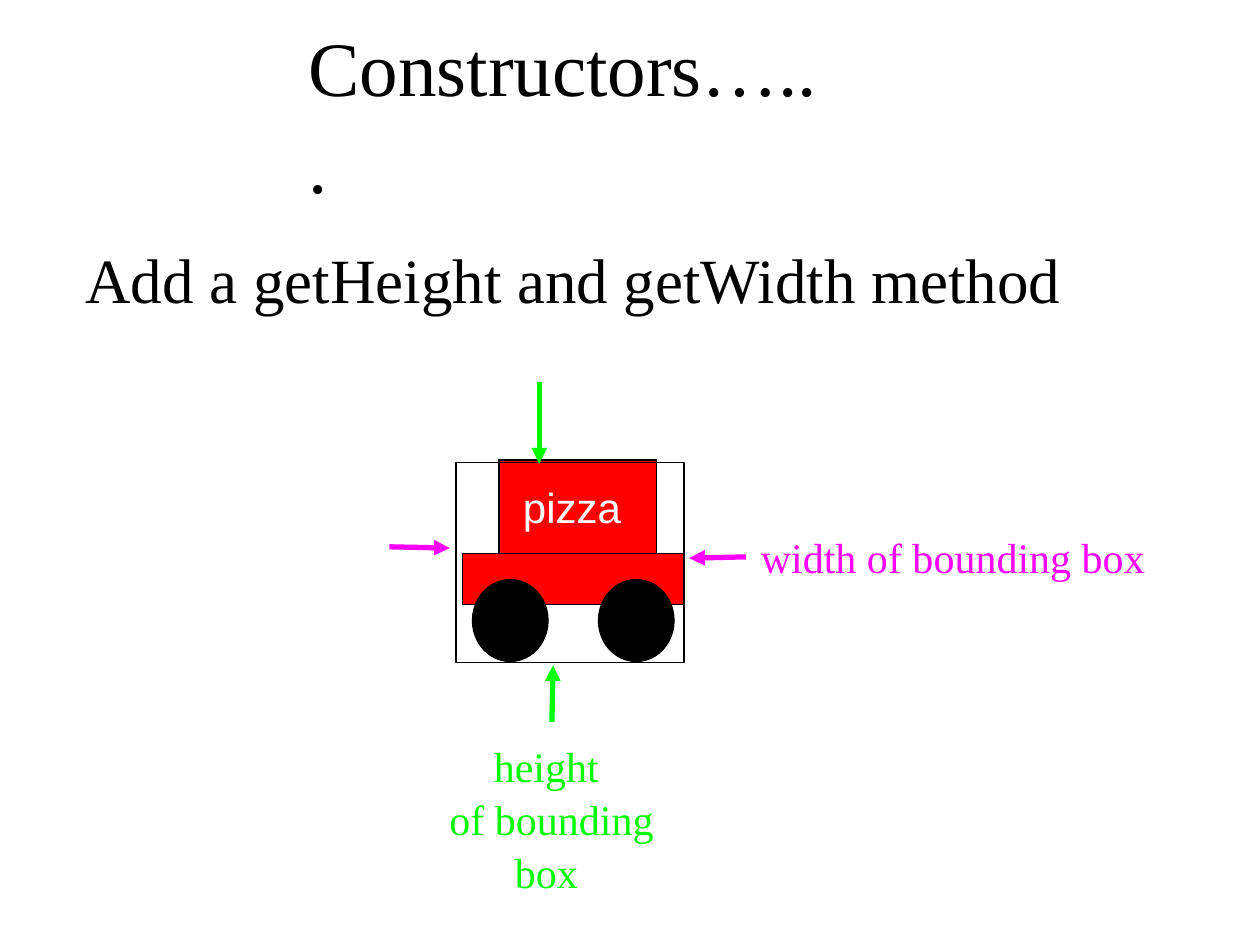
from pptx import Presentation
from pptx.dml.color import RGBColor
from pptx.enum.shapes import MSO_CONNECTOR, MSO_SHAPE
from pptx.enum.text import MSO_ANCHOR, PP_ALIGN
from pptx.oxml.ns import qn
from pptx.util import Inches, Pt
from lxml.etree import SubElement

BLACK = RGBColor(0, 0, 0)
WHITE = RGBColor(255, 255, 255)
RED = RGBColor(255, 0, 0)
GREEN = RGBColor(0, 255, 0)
MAGENTA = RGBColor(255, 0, 255)
SERIF = "Times New Roman"
SANS = "Arial"


def add_run(p, text, font, size, color):
    r = p.add_run()
    r.text = text
    r.font.name = font
    r.font.size = Pt(size)
    r.font.color.rgb = color


def add_text(slide, box, lines, size, color, align=PP_ALIGN.LEFT, top=0.14):
    tf = slide.shapes.add_textbox(*map(Inches, box)).text_frame
    tf.word_wrap = True
    tf.margin_top = Inches(top)
    for i, line in enumerate(lines):
        p = tf.paragraphs[0] if i == 0 else tf.add_paragraph()
        p.alignment = align
        p.line_spacing = 1.05
        add_run(p, line, SERIF, size, color)


def add_part(slide, kind, box, fill=None):
    sp = slide.shapes.add_shape(kind, *map(Inches, box))
    sp.shadow.inherit = False
    if fill is None:
        sp.fill.background()
    else:
        sp.fill.solid()
        sp.fill.fore_color.rgb = fill
    sp.line.color.rgb = BLACK
    sp.line.width = Pt(0.75)
    return sp


def add_arrow(slide, start, end, color):
    line = slide.shapes.add_connector(
        MSO_CONNECTOR.STRAIGHT, *map(Inches, start + end))
    line.line.color.rgb = color
    line.line.width = Pt(3)
    sppr = line._element.spPr
    SubElement(sppr.find(qn("a:ln")), qn("a:tailEnd"), type="triangle")
    SubElement(sppr, qn("a:effectLst"))


def add_truck(slide):
    cab = add_part(slide, MSO_SHAPE.RECTANGLE, (3.96, 3.65, 1.25, 0.75), RED)
    tf = cab.text_frame
    tf.vertical_anchor = MSO_ANCHOR.MIDDLE
    p = tf.paragraphs[0]
    p.alignment = PP_ALIGN.LEFT
    add_run(p, " ", SANS, 24, BLACK)
    add_run(p, "pizza", SANS, 24, WHITE)
    add_part(slide, MSO_SHAPE.RECTANGLE, (3.67, 4.39, 1.76, 0.41), RED)
    for left in (3.75, 4.75):
        add_part(slide, MSO_SHAPE.OVAL, (left, 4.6, 0.6, 0.65), BLACK)
    add_part(slide, MSO_SHAPE.RECTANGLE, (3.62, 3.67, 1.81, 1.59))


def main():
    prs = Presentation()
    prs.slide_width, prs.slide_height = Inches(10), Inches(7.5)
    slide = prs.slides.add_slide(prs.slide_layouts[6])

    add_text(slide, (2.35, 0.03, 4.39, 0.83), ["Constructors…..."],
             44, BLACK, top=0.09)
    add_text(slide, (0.58, 1.74, 8.85, 0.94),
             ["Add a getHeight and getWidth method"], 36, BLACK)
    add_truck(slide)

    add_arrow(slide, (4.28, 3.03), (4.28, 3.68), GREEN)
    add_arrow(slide, (4.38, 5.73), (4.39, 5.28), GREEN)
    add_text(slide, (3.19, 5.72, 2.29, 0.69), ["height", " of bounding box"],
             24, GREEN, PP_ALIGN.CENTER)

    add_arrow(slide, (3.09, 4.34), (3.57, 4.35), MAGENTA)
    add_arrow(slide, (5.92, 4.42), (5.47, 4.43), MAGENTA)
    add_text(slide, (5.94, 4.06, 3.41, 0.69), ["width of bounding box"],
             24, MAGENTA)

    prs.save("out.pptx")


if __name__ == "__main__":
    main()
